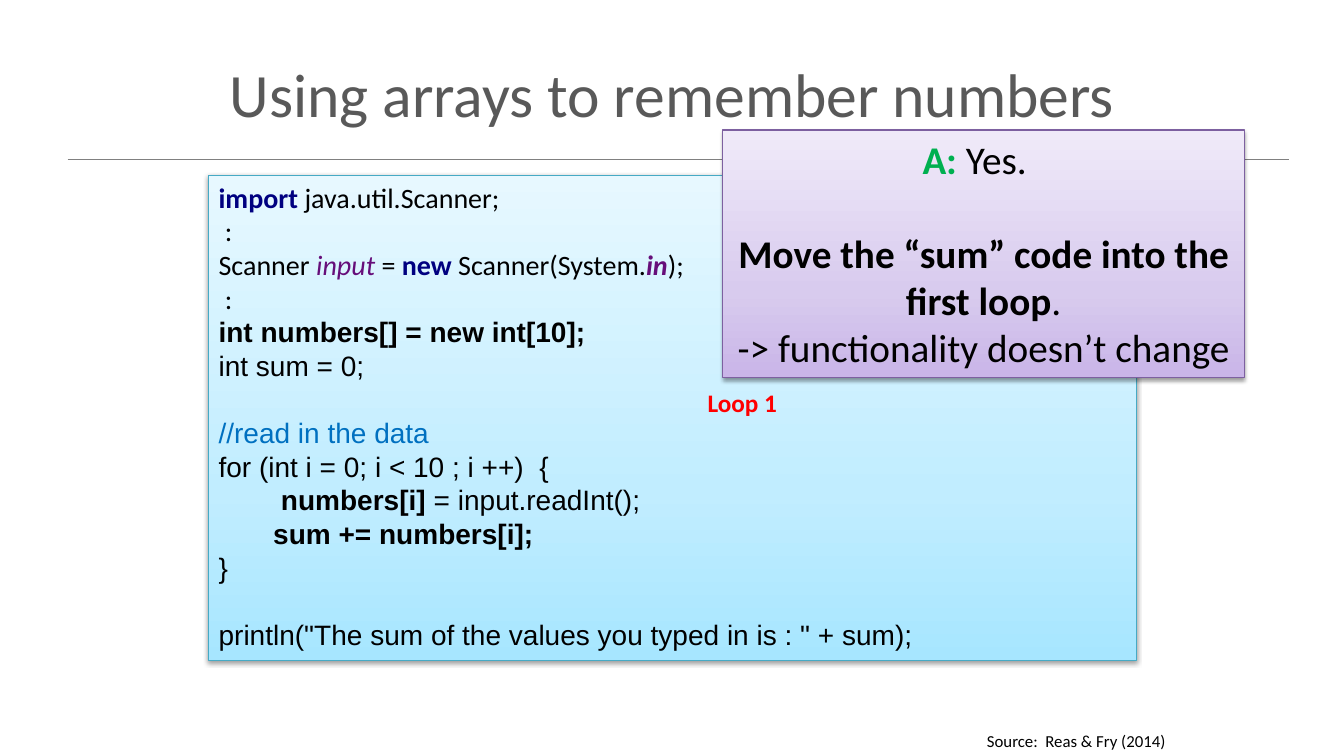
from copy import deepcopy

from lxml import etree
from pptx import Presentation
from pptx.dml.color import RGBColor
from pptx.enum import shapes, text
from pptx.oxml import ns
from pptx.util import Inches, Pt

BLACK = RGBColor(0, 0, 0)
GREY = RGBColor(0x59, 0x59, 0x59)
RULE_GREY = RGBColor(0x80, 0x80, 0x80)
NAVY = RGBColor(0x00, 0x00, 0x80)
PURPLE = RGBColor(0x66, 0x0E, 0x7A)
BLUE = RGBColor(0x00, 0x70, 0xC0)
GREEN = RGBColor(0x00, 0xB0, 0x50)
RED = RGBColor(0xFF, 0, 0)
CODE_LINE = RGBColor(0x46, 0xAA, 0xC5)
ANSWER_LINE = RGBColor(0x7D, 0x60, 0xA0)
CODE_FILL = [(0, "A7E6FF"), (35, "C1EDFF"), (100, "E7F8FF")]
ANSWER_FILL = [(0, "C9B5E8"), (35, "D8CBEE"), (100, "F0EAF9")]

KEYWORD = {"bold": True, "color": NAVY}
FIELD = {"italic": True, "color": PURPLE}
BOLD = {"bold": True}
ARIAL = {"font": "Arial"}
STRONG = {"font": "Arial", "bold": True}
COMMENT = {"font": "Arial", "color": BLUE}
GAP = None

TITLE = [[("Using arrays to remember numbers", {})]]
CODE = [
    [("import ", KEYWORD), ("java.util.Scanner;", {})],
    [(" :", {})],
    [("Scanner ", {}), ("input ", FIELD), ("= ", {}), ("new ", KEYWORD),
     ("Scanner(System.", {}), ("in", {**FIELD, **BOLD}), (");", {})],
    [(" :", {})],
    [("int numbers[] = new int[10];", STRONG)],
    [("int sum = 0;", ARIAL)],
    GAP,
    [("//read in the data", COMMENT)],
    [("for (int i = 0; i < 10 ; i ++)  {", ARIAL)],
    [("        ", ARIAL), ("numbers[i] ", STRONG), ("= input.readInt();", ARIAL)],
    [("       ", ARIAL), ("sum += numbers[i];", STRONG)],
    [("}", ARIAL)],
    GAP,
    [('println("The sum of the values you typed in is : " + sum);', ARIAL)],
]
ANSWER = [
    [("A: ", {"bold": True, "color": GREEN}), ("Yes.  ", {})],
    GAP,
    [("Move the “sum” code into the first loop", BOLD), (".", {})],
    [("-> functionality doesn’t change", {})],
]
LOOP_LABEL = [[("Loop 1", BOLD)]]
SOURCE = [[("Source:  Reas & Fry (2014)", {})]]


def write(box, lines, size, color=BLACK, align=text.PP_ALIGN.LEFT, leading=None,
          anchor=text.MSO_ANCHOR.TOP, wrap=True):
    """Fill a box with lines of formatted spans; GAP skips one line's height."""
    frame = box.text_frame
    frame.word_wrap = wrap
    frame.vertical_anchor = anchor
    para, skipped = None, 0
    for line in lines:
        if line is GAP:
            skipped += leading
            continue
        para = frame.add_paragraph() if para is not None else frame.paragraphs[0]
        para.alignment = align
        if leading:
            para.line_spacing = Pt(leading)
        if skipped:
            para.space_before = Pt(skipped)
        skipped = 0
        for words, style in line:
            span = para.add_run()
            span.text = words
            span.font.name = style.get("font", "Calibri")
            span.font.size = Pt(size)
            span.font.bold = style.get("bold", False)
            span.font.italic = style.get("italic", False)
            span.font.color.rgb = style.get("color", color)


def add_panel(page, place, stops, line_color):
    """Add a rectangle with an upward gradient and a soft shadow below."""
    panel = page.shapes.add_shape(shapes.MSO_SHAPE.RECTANGLE, *map(Inches, place))
    panel.fill.gradient()
    panel.fill.gradient_angle = 90
    properties = panel._element.spPr
    stop_list = properties.find(".//" + ns.qn("a:gsLst"))
    template = deepcopy(stop_list[0])
    for stop in list(stop_list):
        stop_list.remove(stop)
    for position, color in stops:
        stop = deepcopy(template)
        stop.set("pos", str(position * 1000))
        for child in list(stop):
            stop.remove(child)
        etree.SubElement(stop, ns.qn("a:srgbClr"), val=color)
        stop_list.append(stop)
    panel.line.color.rgb = line_color
    panel.line.width = Pt(0.75)
    panel.shadow.inherit = False
    shadow = etree.SubElement(
        properties.find(ns.qn("a:effectLst")), ns.qn("a:outerShdw"),
        blurRad=str(Pt(3.1)), dist=str(Pt(1.6)), dir="5400000", rotWithShape="0")
    shade = etree.SubElement(shadow, ns.qn("a:srgbClr"), val="000000")
    etree.SubElement(shade, ns.qn("a:alpha"), val="38000")
    return panel


def add_label(page, place, lines, size, **style):
    """Add a plain text box."""
    write(page.shapes.add_textbox(*map(Inches, place)), lines, size, **style)


def main():
    """Build the slide."""
    deck = Presentation()
    deck.slide_width, deck.slide_height = Inches(13.33), Inches(7.5)
    page = deck.slides.add_slide(deck.slide_layouts[5])

    title = page.shapes.title
    title.left, title.top, title.width, title.height = map(Inches, (0.67, 0.3, 12, 1.25))
    write(title, TITLE, 44, color=GREY, align=text.PP_ALIGN.CENTER,
          anchor=text.MSO_ANCHOR.MIDDLE)

    rule = page.shapes.add_connector(
        shapes.MSO_CONNECTOR.STRAIGHT, *map(Inches, (0.67, 1.58, 12.78, 1.58)))
    rule.line.color.rgb = RULE_GREY
    rule.line.width = Pt(1)
    etree.SubElement(rule._element.spPr, ns.qn("a:effectLst"))

    code = add_panel(page, (2.07, 1.74, 9.2, 4.81), CODE_FILL, CODE_LINE)
    write(code, CODE, 20, leading=24)
    add_label(page, (5.58, 7.2, 6.08, 0.3), SOURCE, 12, align=text.PP_ALIGN.RIGHT)
    answer = add_panel(page, (7.17, 1.29, 5.17, 2.46), ANSWER_FILL, ANSWER_LINE)
    write(answer, ANSWER, 28, align=text.PP_ALIGN.CENTER, leading=33.6)
    add_label(page, (6.92, 3.79, 0.89, 0.71), LOOP_LABEL, 18, color=RED, wrap=False)

    deck.save("out.pptx")


if __name__ == "__main__":
    main()
